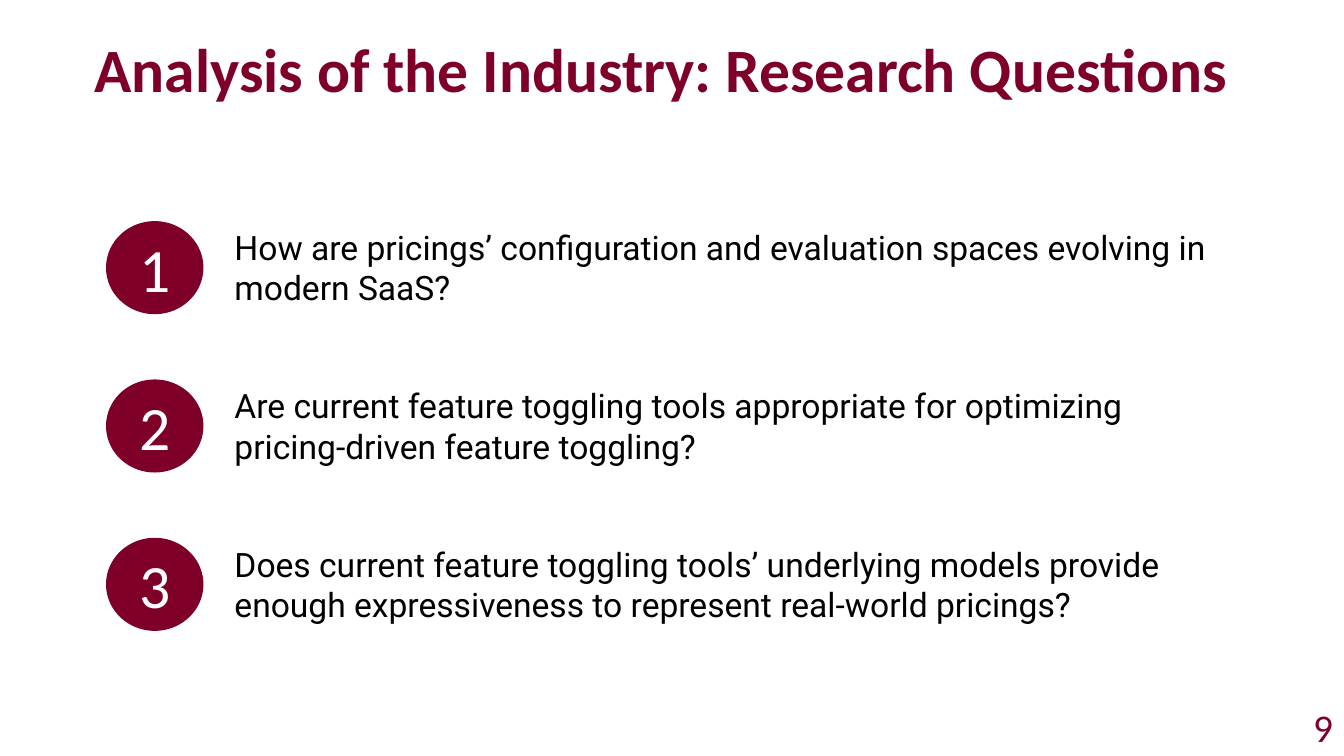
from dataclasses import dataclass

import pptx
import pptx.dml.color
import pptx.enum.shapes
import pptx.enum.text
import pptx.util
from pptx.util import Cm

ALIGN = pptx.enum.text.PP_ALIGN
ANCHOR = pptx.enum.text.MSO_ANCHOR
AUTO_SIZE = pptx.enum.text.MSO_AUTO_SIZE


@dataclass(frozen=True)
class Theme:
    burgundy: str = "7E0029"
    white: str = "FFFFFF"
    black: str = "000000"
    heading_font: str = "Calibri"
    body_font: str = "Roboto"
    display_size: int = 44
    number_size: int = 28
    body_size: int = 24


THEME = Theme()

QUESTIONS = [
    "How are pricings’ configuration and evaluation spaces evolving in modern SaaS?",
    "Are current feature toggling tools appropriate for optimizing "
    "pricing-driven feature toggling?",
    "Does current feature toggling tools’ underlying models provide "
    "enough expressiveness to represent real-world pricings?",
]


def rgb(color):
    return pptx.dml.color.RGBColor.from_string(color)


def write_text(shape, text, *, size, color, font=THEME.heading_font, bold=False,
               align=ALIGN.LEFT, anchor=ANCHOR.TOP, wrap=True, line_spacing=None,
               auto_size=AUTO_SIZE.NONE):
    frame = shape.text_frame
    frame.text = text
    frame.word_wrap = wrap
    frame.auto_size = auto_size
    frame.vertical_anchor = anchor
    paragraph = frame.paragraphs[0]
    paragraph.alignment = align
    paragraph.line_spacing = line_spacing
    run_font = paragraph.runs[0].font
    run_font.name = font
    run_font.size = pptx.util.Pt(size)
    run_font.bold = bold
    run_font.color.rgb = rgb(color)


def place_title(slide, text, left, top, width, height):
    title = slide.shapes.title
    title.left, title.top, title.width, title.height = left, top, width, height
    write_text(title, text, size=THEME.display_size, color=THEME.burgundy,
               bold=True, anchor=ANCHOR.MIDDLE, line_spacing=0.9)


def add_question(slide, number, question, left, top, width, height):
    group = slide.shapes.add_group_shape()

    # Numbered disc
    disc = group.shapes.add_shape(pptx.enum.shapes.MSO_SHAPE.OVAL,
                                  left, top, Cm(2.42), height)
    disc.shadow.inherit = False
    disc.fill.solid()
    disc.fill.fore_color.rgb = rgb(THEME.burgundy)
    disc.line.color.rgb = rgb(THEME.burgundy)
    disc.line.width = pptx.util.Pt(1)
    write_text(disc, str(number), size=THEME.display_size, color=THEME.white,
               align=ALIGN.CENTER, anchor=ANCHOR.MIDDLE)

    # Question beside the disc
    indent = Cm(2.97)
    box = group.shapes.add_textbox(left + indent, top, width - indent, height)
    write_text(box, question, size=THEME.body_size, color=THEME.black,
               font=THEME.body_font, auto_size=AUTO_SIZE.SHAPE_TO_FIT_TEXT)


def add_question_list(slide, questions, left, top, width, height):
    row_height = Cm(2.31)
    pitch = (height - row_height) // (len(questions) - 1)
    for index, question in enumerate(questions):
        add_question(slide, index + 1, question,
                     left, top + index * pitch, width, row_height)


def add_page_number(slide, number, left, top, width, height):
    box = slide.shapes.add_textbox(left, top, width, height)
    write_text(box, str(number), size=THEME.number_size, color=THEME.burgundy,
               wrap=False, auto_size=AUTO_SIZE.SHAPE_TO_FIT_TEXT)


def build_questions_slide(presentation):
    slide = presentation.slides.add_slide(presentation.slide_layouts[5])
    place_title(slide, "Analysis of the Industry: Research Questions",
                Cm(2.13), Cm(0), Cm(29.62), Cm(3.68))
    add_question_list(slide, QUESTIONS, Cm(2.69), Cm(5.59), Cm(28.17), Cm(10.29))
    add_page_number(slide, 9, Cm(32.84), Cm(17.6), Cm(1.02), Cm(1.45))


def main():
    presentation = pptx.Presentation()
    presentation.slide_width = Cm(33.87)
    presentation.slide_height = Cm(19.05)
    build_questions_slide(presentation)
    presentation.save("out.pptx")


if __name__ == "__main__":
    main()
